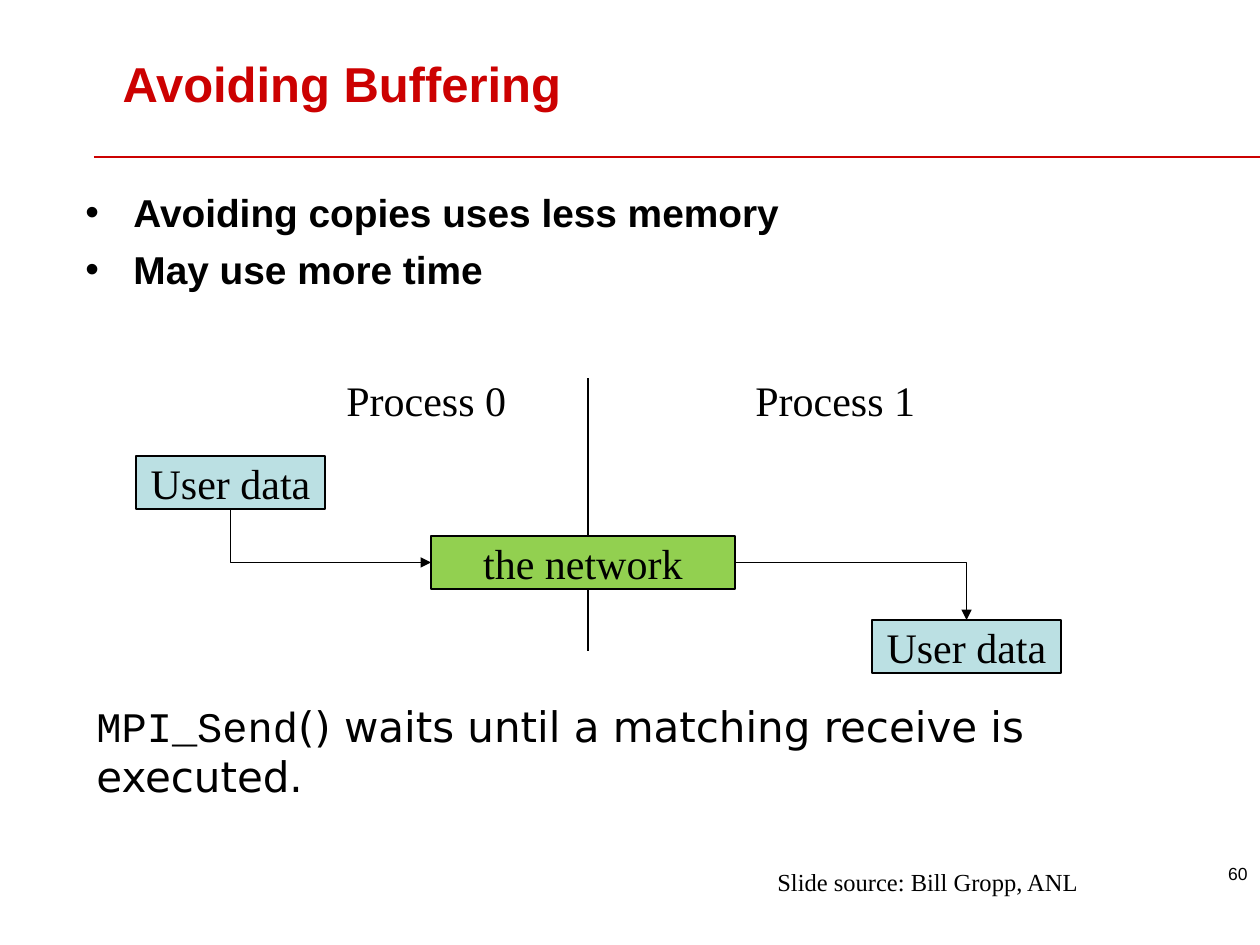
from lxml.etree import SubElement
from pptx import Presentation
from pptx.dml.color import RGBColor
from pptx.enum.shapes import MSO_CONNECTOR as Link, MSO_SHAPE as Shape
from pptx.enum.text import MSO_ANCHOR as Anchor, PP_ALIGN as Align
from pptx.oxml.ns import qn
from pptx.util import Pt

COLORS = {
    "accent": "CC0101",
    "ink": "000000",
    "data": "BBE0E3",
    "network": "92D050",
}
SANS, SERIF, MONO, WIDE = "Arial", "Times New Roman", "Courier New", "DejaVu Sans"
TOP, LEFT, BOTTOM, RIGHT = range(4)


def px(length):
    return round(length * 914400 / 126)


def color(name):
    return RGBColor.from_string(COLORS[name])


class SlideBuilder:
    def __init__(self, slide):
        self.slide = slide

    def format_run(self, run, size, font, ink="ink", bold=False):
        run.font.size = Pt(size)
        run.font.name = font
        run.font.bold = bold
        run.font.color.rgb = color(ink)

    def title(self, wording, box):
        heading = self.slide.shapes.title
        heading.left, heading.top, heading.width, heading.height = map(px, box)
        frame = heading.text_frame
        frame.text = wording
        frame.vertical_anchor = Anchor.TOP
        frame.margin_top = px(11)
        paragraph = frame.paragraphs[0]
        paragraph.alignment = Align.LEFT
        self.format_run(paragraph.runs[0], 28, SANS, "accent", True)

    def text(self, pieces, box, size, align=Align.LEFT, wrap=False):
        frame = self.slide.shapes.add_textbox(*map(px, box)).text_frame
        frame.word_wrap = wrap
        paragraph = frame.paragraphs[0]
        paragraph.alignment = align
        for wording, font in pieces:
            run = paragraph.add_run()
            run.text = wording
            self.format_run(run, size, font)

    def bullets(self, points, box):
        frame = self.slide.shapes.add_textbox(*map(px, box)).text_frame
        frame.word_wrap = True
        frame.margin_top = 0
        frame.text = "\n".join(points)
        for paragraph in frame.paragraphs:
            paragraph.space_before = Pt(6)
            self.format_run(paragraph.runs[0], 22.2, SANS, bold=True)
            properties = paragraph._p.get_or_add_pPr()
            properties.set("marL", str(px(48)))
            properties.set("indent", str(px(-48)))
            SubElement(properties, qn("a:buFont"), typeface=SANS)
            SubElement(properties, qn("a:buChar"), char="•")

    def block(self, wording, box, fill):
        shape = self.slide.shapes.add_shape(Shape.RECTANGLE, *map(px, box))
        shape.shadow.inherit = False
        shape.fill.solid()
        shape.fill.fore_color.rgb = color(fill)
        shape.line.color.rgb = color("ink")
        shape.line.width = Pt(1)
        frame = shape.text_frame
        frame.text = wording
        frame.word_wrap = False
        frame.vertical_anchor = Anchor.MIDDLE
        paragraph = frame.paragraphs[0]
        paragraph.alignment = Align.CENTER
        self.format_run(paragraph.runs[0], 24, SERIF)
        return shape

    def line(self, start, end, ink="ink", kind=Link.STRAIGHT):
        connector = self.slide.shapes.add_connector(kind, *map(px, start + end))
        connector.line.color.rgb = color(ink)
        connector.line.width = Pt(1)
        SubElement(connector._element.spPr, qn("a:effectLst"))
        return connector

    def bent_arrow(self, source, source_site, target, target_site):
        arrow = self.line((0, 0), (0, 0), kind=Link.ELBOW)
        arrow.begin_connect(source, source_site)
        arrow.end_connect(target, target_site)
        properties = arrow._element.spPr
        properties.find(qn("a:prstGeom")).set("prst", "bentConnector2")
        SubElement(properties.find(qn("a:ln")), qn("a:tailEnd"), type="triangle")
        if source_site == BOTTOM:
            across, down = arrow.width, arrow.height
            arrow.left += (across - down) // 2
            arrow.top += (down - across) // 2
            arrow.width, arrow.height = down, across
            frame = properties.find(qn("a:xfrm"))
            frame.set("rot", str(270 * 60000))
            frame.set("flipH", "1")


def main():
    deck = Presentation()
    deck.slide_width, deck.slide_height = px(1260), px(945)
    builder = SlideBuilder(deck.slides.add_slide(deck.slide_layouts[5]))

    builder.line((94, 157), (1260, 157), "accent")
    builder.text([("60", SANS)], (998, 857, 262, 63), 10, Align.RIGHT, True)
    builder.title("Avoiding Buffering", (110, 42, 678, 94))
    builder.bullets(
        ["Avoiding copies uses less memory", "May use more time"],
        (73, 189, 1142, 117),
    )
    builder.text(
        [("MPI_Send", MONO), ("() waits until a matching receive is executed.", WIDE)],
        (84, 694, 1092, 199), 24, wrap=True,
    )
    for process, left in enumerate((334, 743)):
        builder.text([(f"Process {process}", SERIF)], (left, 368, 185, 63), 24)

    sender, receiver = [
        builder.block("User data", (left, top, 189, 53), "data")
        for left, top in ((136, 456), (872, 620))
    ]
    builder.line((588, 378), (588, 651))
    network = builder.block("the network", (431, 536, 304, 53), "network")
    builder.bent_arrow(sender, BOTTOM, network, LEFT)
    builder.bent_arrow(network, RIGHT, receiver, TOP)
    builder.text([("Slide source: Bill Gropp, ANL", SERIF)], (765, 861, 328, 43), 14)

    deck.save("out.pptx")


if __name__ == "__main__":
    main()
